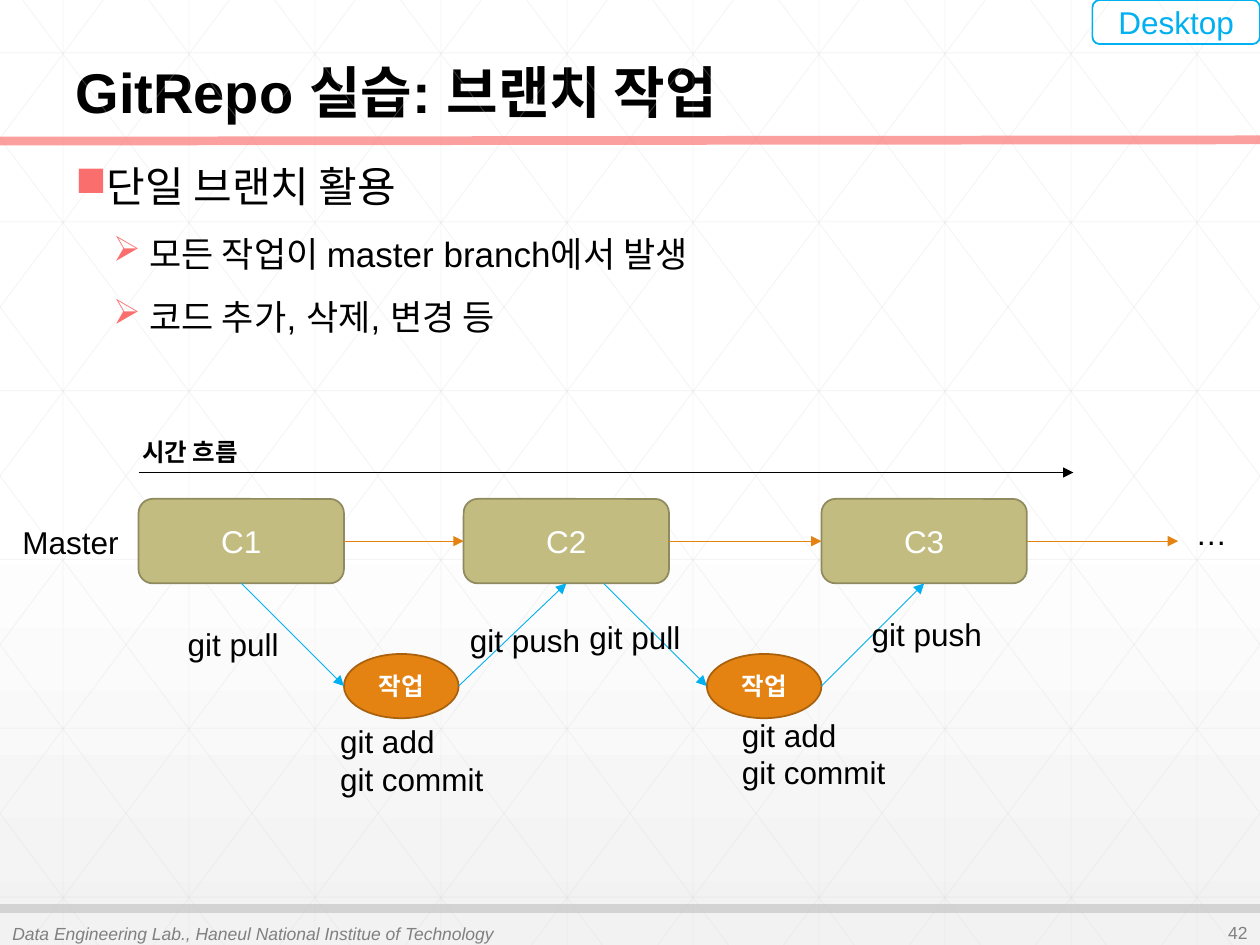
from lxml import etree
from pptx import Presentation
from pptx.dml.color import RGBColor
from pptx.enum.shapes import MSO_CONNECTOR, MSO_SHAPE
from pptx.enum.text import MSO_ANCHOR, MSO_AUTO_SIZE, PP_ALIGN
from pptx.oxml.ns import qn
from pptx.util import Inches, Pt

STRAIGHT = MSO_CONNECTOR.STRAIGHT
ROUNDED, OVAL = MSO_SHAPE.ROUNDED_RECTANGLE, MSO_SHAPE.OVAL
LEFT, CENTER, RIGHT = PP_ALIGN.LEFT, PP_ALIGN.CENTER, PP_ALIGN.RIGHT
TOP, MIDDLE, BOTTOM = MSO_ANCHOR.TOP, MSO_ANCHOR.MIDDLE, MSO_ANCHOR.BOTTOM
SITE_TOP, SITE_LEFT, SITE_BOTTOM, SITE_RIGHT = range(4)

# Content
W, H = 10, 7.5
TITLE = "GitRepo 실습: 브랜치 작업"
BULLETS = [  # text, size, bullet, left margin, hanging indent, space before, line spacing
    ("단일 브랜치 활용", 24, "■", 0.25, 0.25, 18, 0.9),
    ("모든 작업이 master branch에서 발생", 20, "➢", 0.59, 0.29, 12, 1.0),
    ("코드 추가, 삭제, 변경 등", 20, "➢", 0.59, 0.29, 12, 1.0),
]
FOOTER = "Data Engineering Lab., Haneul National Institue of Technology"
PAGE = "42"
COMMITS = [("C1", 1.1), ("C2", 3.68), ("C3", 6.52)]  # name, left
COMMIT_TOP, COMMIT_W, COMMIT_H = 3.96, 1.63, 0.67
WORK = "작업"
WORK_LEFTS = [2.73, 5.61]
WORK_TOP, WORK_W, WORK_H = 5.19, 0.91, 0.51
LABELS = [  # text, left, top, width, height
    ("…", 9.39, 4.03, 0.45, 0.4),
    ("Master", 0.08, 4.1, 0.97, 0.4),
    ("git pull", 1.39, 4.91, 0.93, 0.4),
    ("git push", 3.63, 4.88, 1.09, 0.4),
    ("git add\ngit commit", 2.6, 5.68, 1.35, 0.71),
    ("git pull", 4.58, 4.86, 0.93, 0.4),
    ("git push", 6.82, 4.83, 1.09, 0.4),
    ("git add\ngit commit", 5.79, 5.63, 1.35, 0.71),
]


def rgb(value):
    return RGBColor.from_string(value)


def put_text(sp, text, size=18, color="000000", bold=False, italic=False,
             align=LEFT, anchor=TOP, wrap=True, grow=False):
    tf = sp.text_frame
    tf.text = text
    tf.word_wrap = wrap
    tf.auto_size = MSO_AUTO_SIZE.SHAPE_TO_FIT_TEXT if grow else MSO_AUTO_SIZE.NONE
    tf.vertical_anchor = anchor
    for p in tf.paragraphs:
        p.alignment = align
        for r in p.runs:
            r.font.name, r.font.size = "Arial", Pt(size)
            r.font.bold, r.font.italic = bold, italic
            r.font.color.rgb = rgb(color)
    return tf


def add_text(text, x, y, w, h, **fmt):
    sp = shapes.add_textbox(Inches(x), Inches(y), Inches(w), Inches(h))
    return put_text(sp, text, **fmt)


def add_node(kind, text, x, y, w, h, fill, line, **fmt):
    sp = shapes.add_shape(kind, Inches(x), Inches(y), Inches(w), Inches(h))
    sp.shadow.inherit = False
    if fill:
        sp.fill.solid()
        sp.fill.fore_color.rgb = rgb(fill)
    else:
        sp.fill.background()
    sp.line.color.rgb = rgb(line)
    sp.line.width = Pt(1)
    put_text(sp, text, align=CENTER, anchor=MIDDLE, **fmt)
    return sp


def add_line(x1, y1, x2, y2, color, width=0.5, alpha=None, arrow=False):
    c = shapes.add_connector(STRAIGHT, Inches(x1), Inches(y1), Inches(x2), Inches(y2))
    c.line.color.rgb = rgb(color)
    c.line.width = Pt(width)
    ln = c.line._get_or_add_ln()
    if alpha:
        clr = ln.find(".//" + qn("a:srgbClr"))
        etree.SubElement(clr, qn("a:alpha")).set("val", str(alpha * 1000))
    if arrow:
        etree.SubElement(ln, qn("a:tailEnd")).set("type", "triangle")
    etree.SubElement(c._element.spPr, qn("a:effectLst"))
    return c


def set_bullet(p, char, margin, hang):
    pPr = p._p.get_or_add_pPr()
    pPr.set("marL", str(Inches(margin)))
    pPr.set("indent", str(-Inches(hang)))
    clr = etree.SubElement(pPr, qn("a:buClr"))
    etree.SubElement(clr, qn("a:srgbClr")).set("val", "FA6E6E")
    etree.SubElement(pPr, qn("a:buChar")).set("char", char)


prs = Presentation()
prs.slide_width, prs.slide_height = Inches(W), Inches(H)
s = prs.slides.add_slide(prs.slide_layouts[5])
shapes = s.shapes

# Background
bg = s.background.fill
bg.gradient()
bg.gradient_angle = 270
for stop, (pos, color) in zip(bg.gradient_stops, [(0.53, "FFFFFF"), (1, "F2F2F2")]):
    stop.position = pos
    stop.color.rgb = rgb(color)

# Faint grid: verticals, horizontals, and mirrored diagonals clipped to the slide
grid = [(i + 0.5, 0, i + 0.5, H) for i in range(10)]
grid += [(0, 0.42 + 1.34 * i, W, 0.42 + 1.34 * i) for i in range(6)]
RUN = 5.6
for i in range(-5, 10):
    x0 = 0.18 + i
    x1, x2 = max(x0, 0), min(x0 + RUN, W)
    y1, y2 = ((x - x0) * H / RUN for x in (x1, x2))
    grid += [(x1, y1, x2, y2), (W - x1, y1, W - x2, y2)]
for ends in grid:
    add_line(*ends, "D9D9D9", alpha=25)

# Rules, title and footer
add_line(0, 1.12, W, 1.11, "FA6E6E", 5, alpha=65)
add_line(0, 7.21, W, 7.21, "BFBFBF", 5, alpha=60)
title = shapes.title
title.left, title.top, title.width, title.height = (
    Inches(0.5), Inches(0), Inches(9), Inches(1.05))
tf = put_text(title, TITLE, size=32, bold=True, anchor=BOTTOM)
tf.paragraphs[0].line_spacing = 0.9
add_text(FOOTER, 0, 7.29, 5.03, 0.24, size=10, color="808080", italic=True, anchor=MIDDLE)
add_text(PAGE, 9.25, 7.28, 0.75, 0.24, size=10, color="808080", align=RIGHT, anchor=MIDDLE)

# Bulleted text
tf = add_text("\n".join(b[0] for b in BULLETS), 0.5, 1.27, 9, 5.83)
for p, (_, size, char, margin, hang, before, spacing) in zip(tf.paragraphs, BULLETS):
    p.line_spacing, p.space_before = spacing, Pt(before)
    p.runs[0].font.size = Pt(size)
    set_bullet(p, char, margin, hang)

# Time axis
add_line(1.1, 3.75, 8.52, 3.75, "000000", arrow=True)
add_text("시간 흐름", 1.03, 3.42, 1.03, 0.34, size=14, bold=True, wrap=False, grow=True)

# Commits on the master branch
commits = [add_node(ROUNDED, name, x, COMMIT_TOP, COMMIT_W, COMMIT_H,
                    "C2BC80", "908B5F", color="FFFFFF") for name, x in COMMITS]
mid = COMMIT_TOP + COMMIT_H / 2
for i, (_, x) in enumerate(COMMITS):
    c = add_line(x + COMMIT_W, mid, 9.35, mid, "E48312", arrow=True)
    c.begin_connect(commits[i], SITE_RIGHT)
    if i + 1 < len(commits):
        c.end_connect(commits[i + 1], SITE_LEFT)

# Work steps: pull down from one commit, push up to the next
base, work_mid = COMMIT_TOP + COMMIT_H, WORK_TOP + WORK_H / 2
for i, x in enumerate(WORK_LEFTS):
    add_node(OVAL, WORK, x, WORK_TOP, WORK_W, WORK_H, "E48312", "A9610D",
             size=14, bold=True, color="FFFFFF")
    pull = add_line(x - 0.82, base, x, work_mid, "00B0F0", arrow=True)
    if i == 0:
        pull.begin_connect(commits[0], SITE_BOTTOM)
    push = add_line(x + WORK_W, work_mid, COMMITS[i + 1][1] + COMMIT_W / 2, base,
                    "00B0F0", arrow=True)
    push.end_connect(commits[i + 1], SITE_BOTTOM)

# Command labels and platform tag
for text, *box in LABELS:
    add_text(text, *box, wrap=False, grow=True)
add_node(ROUNDED, "Desktop", 8.67, 0, 1.33, 0.35, None, "00B0F0", color="00B0F0")

prs.save("out.pptx")
